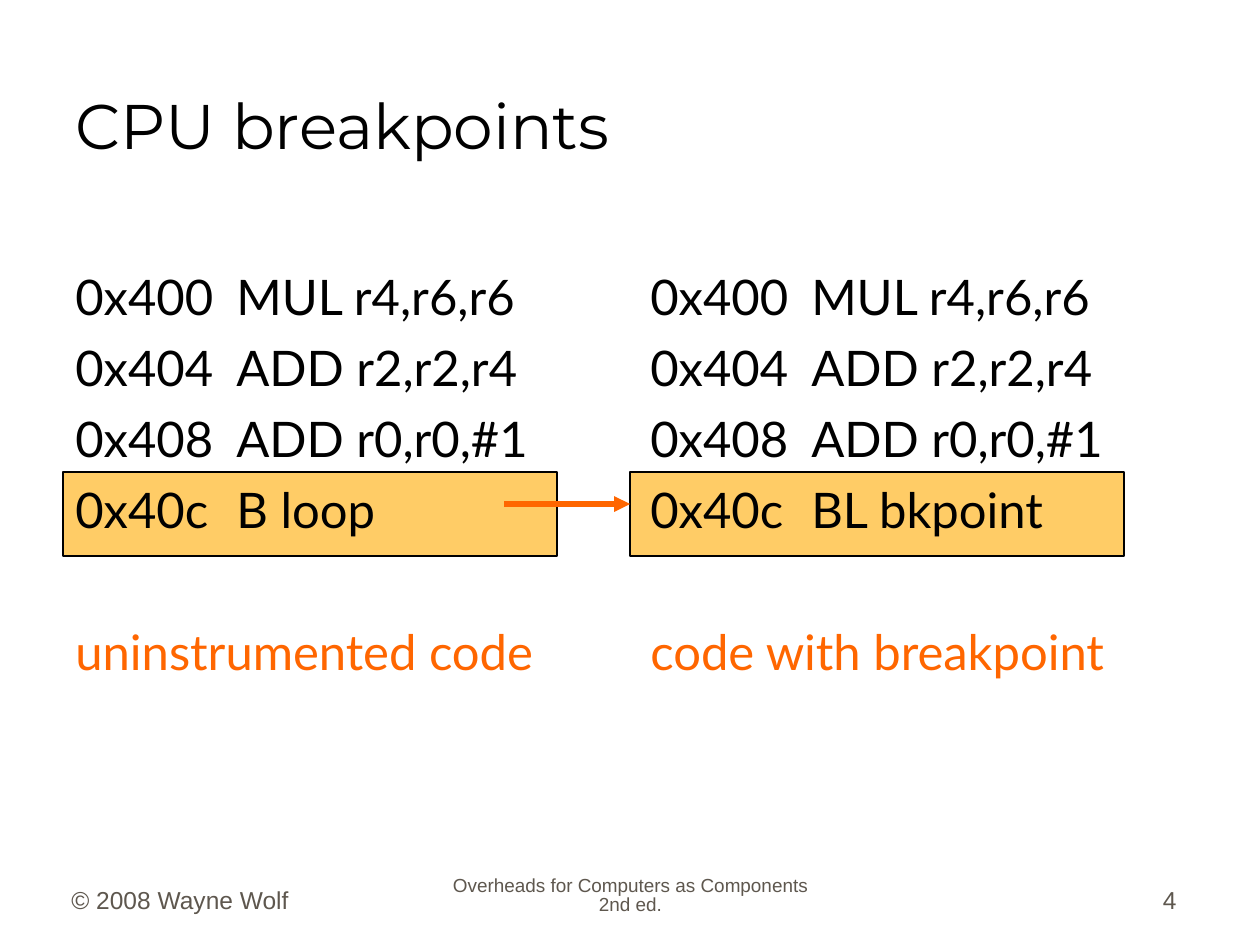
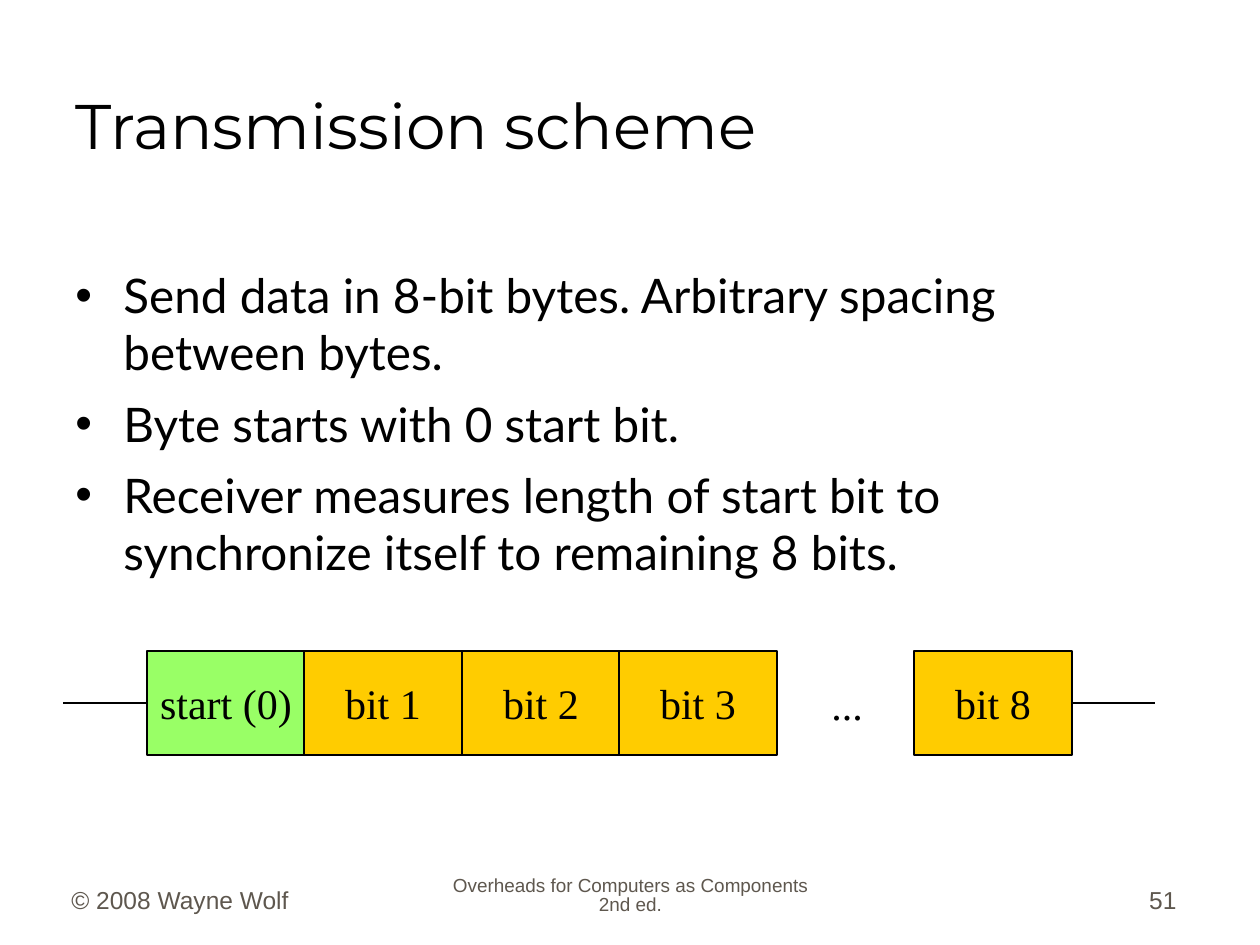
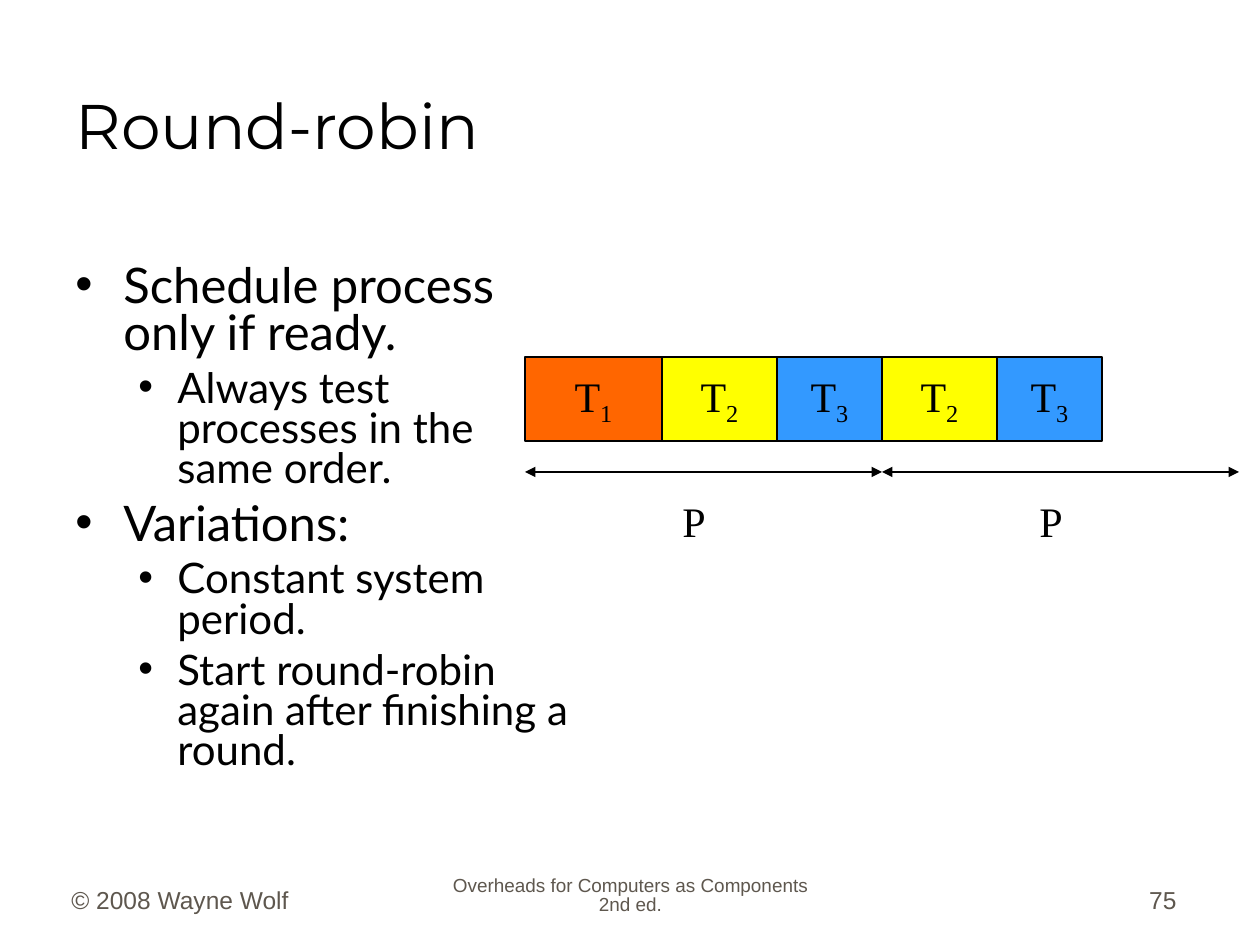
from pptx import Presentation
from pptx.dml.color import RGBColor as Rgb
from pptx.enum.shapes import MSO_CONNECTOR as Conn, MSO_SHAPE as Kind
from pptx.enum.text import MSO_ANCHOR as Anchor, MSO_AUTO_SIZE as Fit, PP_ALIGN as Align
from pptx.oxml.ns import qn
from pptx.util import Pt
from lxml.etree import SubElement as Sub

PX = 914400 / 126
HUE = dict(ink="000000", gray="5E574E", accent="FF6600", code="FFCC66",
           start="99FF66", bit="FFCC00", yellow="FFFF00", blue="3399FF")
HEAD, BODY, FOOT, DRAW = "Montserrat", "Lato", "Arial", "Times New Roman"

FEET = [
    ("© 2008 Wayne Wolf", 59, 262, dict(size=14)),
    ("Overheads for Computers as Components 2nd ed.", 431, 399,
     dict(size=10.8, align=Align.CENTER, line=0.8)),
]

COMMON = [("0x400", "MUL r4,r6,r6"), ("0x404", "ADD r2,r2,r4"), ("0x408", "ADD r0,r0,#1")]
CODE = [
    (63, 63, ("0x40c", "B loop"), "uninstrumented code"),
    (638, 630, ("0x40c", "BL bkpoint"), "code with breakpoint"),
]

SCHEME = [
    "Send data in 8-bit bytes. Arbitrary spacing between bytes.",
    "Byte starts with 0 start bit.",
    "Receiver measures length of start bit to synchronize itself to remaining 8 bits.",
]
BITS = [("start (0)", 147, "start"), ("bit 1", 304, "bit"), ("bit 2", 462, "bit"),
        ("bit 3", 619, "bit"), ("bit 8", 914, "bit")]

TOP = dict(size=28, before=7, indent=(48, -48))
LOW = dict(size=24, before=6, indent=(102, -39))
ROBIN = [
    ("Schedule process only if ready.", TOP),
    ("Always test processes in the same order.", LOW),
    ("Variations:", TOP),
    ("Constant system period.", LOW),
    ("Start round-robin again after finishing a round.", LOW),
]
TASKS = {"1": (137, "accent"), "2": (115, "yellow"), "3": (105, "blue")}
ORDER = "12323"
PERIOD = sum(wide for wide, _ in TASKS.values())


def px(n):
    return round(n * PX)


def write(frame, items, anchor=Anchor.TOP, wrap=True, **base):
    frame.word_wrap = wrap
    frame.vertical_anchor = anchor
    frame.auto_size = Fit.NONE
    for i, item in enumerate([items] if isinstance(items, str) else items):
        text, extra = (item, {}) if isinstance(item, str) else item
        fmt = {**base, **extra}
        para = frame.paragraphs[0] if i == 0 else frame.add_paragraph()
        props = para._p.get_or_add_pPr()
        if "indent" in fmt:
            left, first = fmt["indent"]
            props.set("marL", str(px(left)))
            props.set("indent", str(px(first)))
            Sub(props, qn("a:buFont"), typeface="Arial")
            Sub(props, qn("a:buChar"), char="•")
        if "tab" in fmt:
            Sub(Sub(props, qn("a:tabLst")), qn("a:tab"), pos=str(px(fmt["tab"])), algn="l")
        para.alignment = fmt.get("align", Align.LEFT)
        para.line_spacing = fmt.get("line", 1.0)
        para.space_before = Pt(fmt.get("before", 0) if i else 0)
        for part, drop in ((text, 0), (fmt.get("sub"), -25000)):
            if part:
                run = para.add_run()
                run.text = part
                font = run.font
                font.name, font.size = fmt["font"], Pt(fmt["size"])
                font.color.rgb = Rgb.from_string(HUE[fmt.get("color", "ink")])
                if drop:
                    run._r.get_or_add_rPr().set("baseline", str(drop))


def label(slide, items, x, y, w, h, **fmt):
    box = slide.shapes.add_textbox(px(x), px(y), px(w), px(h))
    write(box.text_frame, items, **fmt)


def block(slide, x, y, w, h, fill, items=(), **fmt):
    box = slide.shapes.add_shape(Kind.RECTANGLE, px(x), px(y), px(w), px(h))
    box.shadow.inherit = False
    box.fill.solid()
    box.fill.fore_color.rgb = Rgb.from_string(HUE[fill])
    box.line.color.rgb = Rgb.from_string(HUE["ink"])
    box.line.width = Pt(0.75)
    if items:
        write(box.text_frame, items, anchor=Anchor.MIDDLE, wrap=False,
              align=Align.CENTER, font=DRAW, size=24, **fmt)
    return box


def rule(slide, x1, y1, x2, y2, color="ink", width=0.75, ends=()):
    line = slide.shapes.add_connector(Conn.STRAIGHT, px(x1), px(y1), px(x2), px(y2))
    line.line.color.rgb = Rgb.from_string(HUE[color])
    line.line.width = Pt(width)
    for end in ends:
        Sub(line.line._get_or_add_ln(), qn("a:" + end), type="triangle")
    Sub(line._element.spPr, qn("a:effectLst"))
    return line


def page(deck, title, number):
    slide = deck.slides.add_slide(deck.slide_layouts[5])
    head = slide.shapes.title
    head.left, head.top, head.width, head.height = map(px, (63, 32, 1124, 136))
    head.text_frame.margin_bottom = px(6)
    write(head.text_frame, title, anchor=Anchor.BOTTOM, font=HEAD, size=36)
    last = (str(number), 927, 262, dict(size=14, align=Align.RIGHT))
    for text, x, w, fmt in FEET + [last]:
        label(slide, text, x, 858, w, 63, anchor=Anchor.BOTTOM, font=FOOT, color="gray", **fmt)
    return slide


def breaks(deck):
    slide = page(deck, "CPU breakpoints", 4)
    for _, x, _, _ in CODE:
        block(slide, x, 472, 494, 84, "code")
    rule(slide, 504, 504, 630, 504, "accent", 3, ["tailEnd"])
    for x, _, final, note in CODE:
        lines = ["\t".join(pair) for pair in COMMON + [final]]
        lines.append((note, dict(color="accent", before=47.6)))
        label(slide, lines, x, 260, 553, 575, font=BODY, size=28, before=7, tab=161)


def scheme(deck):
    slide = page(deck, "Transmission scheme", 51)
    label(slide, SCHEME, 63, 260, 1126, 328, font=BODY, size=27.2, before=8, indent=(48, -48))
    boxes = [block(slide, x, 651, 158, 104, fill, text) for text, x, fill in BITS]
    rule(slide, 147, 703, 63, 703).begin_connect(boxes[0], 1)
    rule(slide, 1155, 703, 1072, 703).end_connect(boxes[-1], 3)
    label(slide, "...", 819, 672, 57, 63, wrap=False, font=DRAW, size=24)


def robin(deck):
    slide = page(deck, "Round-robin", 75)
    label(slide, ROBIN, 63, 260, 525, 575, font=BODY, line=0.8)
    x = 525
    for task in ORDER:
        wide, fill = TASKS[task]
        block(slide, x, 357, wide, 84, fill, "T", sub=task)
        x += wide
    for left in (525, 525 + PERIOD):
        rule(slide, left, 472, left + PERIOD, 472, ends=["headEnd", "tailEnd"])
        label(slide, "P", left + 145, 489, 48, 63, wrap=False, font=DRAW, size=24)


def main():
    deck = Presentation()
    deck.slide_width, deck.slide_height = px(1260), px(945)
    for build in (breaks, scheme, robin):
        build(deck)
    deck.save("out.pptx")


if __name__ == "__main__":
    main()
